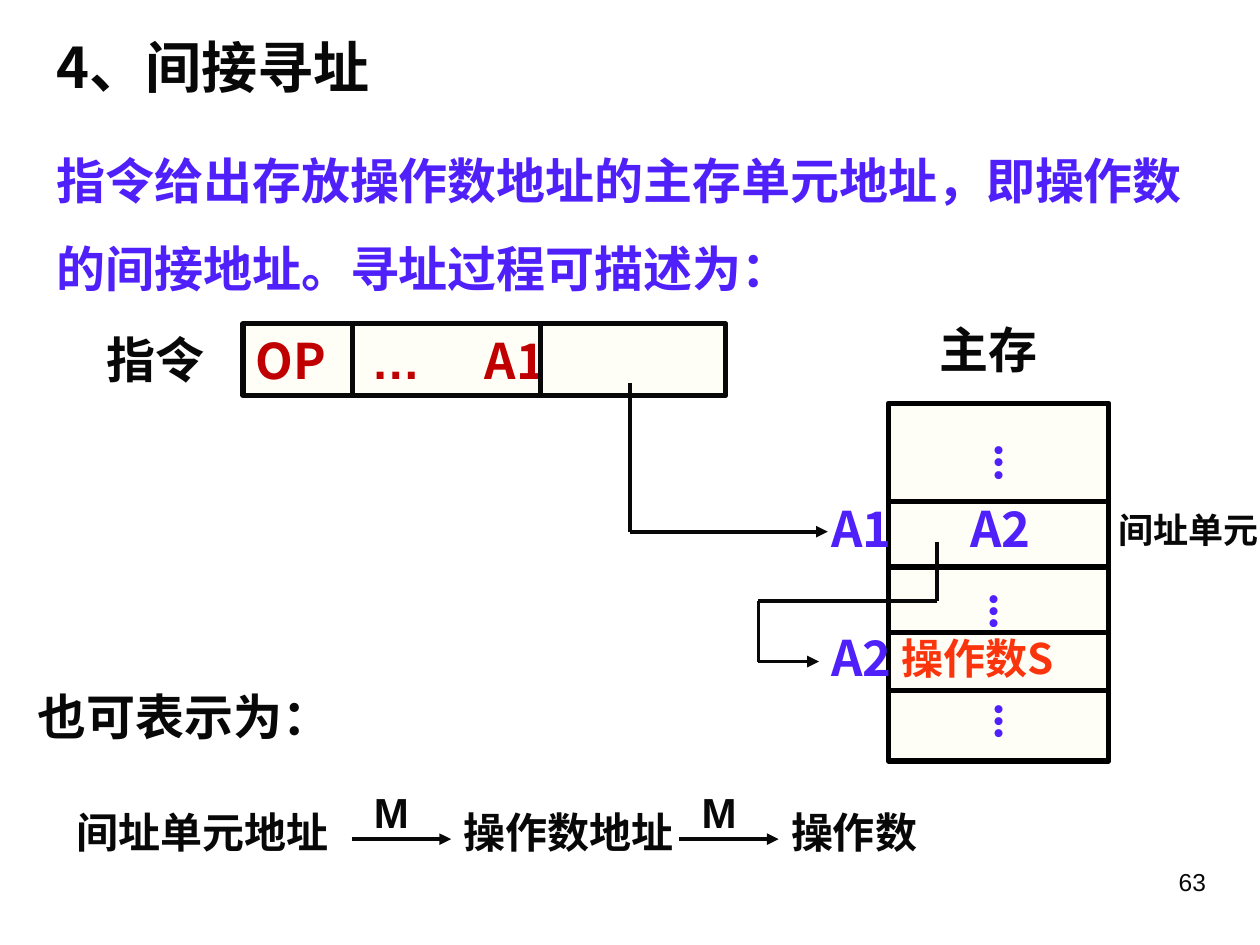
from dataclasses import dataclass
from itertools import accumulate, pairwise

from lxml.etree import SubElement
from pptx import Presentation
from pptx.dml.color import RGBColor
from pptx.enum.shapes import MSO_CONNECTOR, MSO_SHAPE
from pptx.enum.text import PP_ALIGN
from pptx.oxml.ns import qn
from pptx.util import Inches, Pt


@dataclass(frozen=True)
class Theme:
    ink: str = "080808"
    border: str = "000000"
    accent: str = "4F20FA"
    operand: str = "FA350E"
    code: str = "C00000"
    cell: str = "FEFEF6"
    paper: str = "FFFFFF"
    title: int = 32
    body: int = 28
    step: int = 24
    note: int = 20
    page: int = 14
    thick: float = 3
    thin: float = 2.25
    cjk: str = "Noto Sans CJK SC"
    serif: str = "Times New Roman"
    sans: str = "Arial"


THEME = Theme()


def add_run(paragraph, words, size, color, font, bold=True):
    run = paragraph.add_run()
    run.text = words
    run.font.size = Pt(size)
    run.font.bold = bold
    run.font.name = font
    run.font.color.rgb = RGBColor.from_string(color)
    SubElement(run.font._element, qn("a:ea")).set("typeface", THEME.cjk)


def add_label(slide, box, words, size=THEME.body, color=THEME.ink,
              font=THEME.cjk, bold=True):
    label = slide.shapes.add_textbox(*map(Inches, box))
    label.text_frame.word_wrap = True
    add_run(label.text_frame.paragraphs[0], words, size, color, font, bold)
    return label


def add_panel(slide, box, fill, line=None):
    panel = slide.shapes.add_shape(MSO_SHAPE.RECTANGLE, *map(Inches, box))
    panel.shadow.inherit = False
    panel.fill.solid()
    panel.fill.fore_color.rgb = RGBColor.from_string(fill)
    if line:
        panel.line.color.rgb = RGBColor.from_string(line)
        panel.line.width = Pt(THEME.thick)
    else:
        panel.line.fill.background()
    return panel


def add_path(slide, points, color=THEME.ink, width=THEME.thin, arrow=False):
    """Straight segments through the points, with an optional final arrowhead."""
    for start, end in pairwise(points):
        segment = slide.shapes.add_connector(
            MSO_CONNECTOR.STRAIGHT, *map(Inches, (*start, *end)))
        segment.line.color.rgb = RGBColor.from_string(color)
        segment.line.width = Pt(width)
        SubElement(segment._element.spPr, qn("a:effectLst"))
    if arrow:
        SubElement(segment.line._get_or_add_ln(), qn("a:tailEnd")).set("type", "triangle")


def add_heading(slide, box):
    left, top, width, _ = box
    add_label(slide, (left, top, 3.83, 0.64), "4、间接寻址", THEME.title)
    # Definition
    definition = add_panel(slide, (left, top + 0.7, width, 1.5), THEME.paper)
    definition.text_frame.word_wrap = True
    paragraph = definition.text_frame.paragraphs[0]
    paragraph.alignment = PP_ALIGN.LEFT
    paragraph.line_spacing = 1.5
    add_run(paragraph, "指令给出存放操作数地址的主存单元地址，即操作数的间接地址。寻址过程可描述为：",
            THEME.body, THEME.accent, THEME.serif)


def add_instruction(slide, box):
    left, top, width, height = box
    add_label(slide, (left - 1.18, top, 1.14, height), "指令", font=THEME.serif)
    fields = add_panel(slide, box, THEME.cell, THEME.ink)
    fields.text_frame.word_wrap = True
    paragraph = fields.text_frame.paragraphs[0]
    paragraph.alignment = PP_ALIGN.LEFT
    # Field contents sit on tab stops
    stops = SubElement(paragraph._p.get_or_add_pPr(), qn("a:tabLst"))
    for position in (0.92, 1.82):
        stop = SubElement(stops, qn("a:tab"))
        stop.set("pos", str(Inches(position)))
        stop.set("algn", "l")
    for words, font in (("OP\t", THEME.cjk), ("…", THEME.sans), ("\tA1", THEME.cjk)):
        add_run(paragraph, words, THEME.body, THEME.code, font)
    # Field dividers
    for offset in (0.87, 2.36):
        x = left + offset
        add_path(slide, [(x, top), (x, top + height)], width=THEME.thick)


def add_memory(slide, box, row_heights):
    left, top, width, _ = box
    add_label(slide, (left + 0.31, top - 0.71, 1.42, 0.57), "主存", font=THEME.sans)
    add_panel(slide, box, THEME.cell, THEME.border)
    rows = [top + drop for drop in accumulate(row_heights[:-1], initial=0)]
    for y in rows[1:]:
        add_path(slide, [(left, y), (left + width, y)], THEME.border, THEME.thick)
    # Cell addresses and contents
    pointer_top, operand_top = rows[1] - 0.07, rows[3] - 0.09
    for words, x, y in (("A1", -0.55, pointer_top), ("A2", 0.55, pointer_top),
                        ("A2", -0.55, operand_top)):
        add_label(slide, (left + x, y, 0.75, 0.57), words, color=THEME.accent)
    add_label(slide, (left + 0.01, operand_top + 0.04, width, 0.57),
              "操作数S", THEME.step, THEME.operand)
    add_label(slide, (left + width - 0.02, rows[1] + 0.01, 1.42, 0.44),
              "间址单元", THEME.note, font=THEME.serif)
    # Omitted cells
    for row, x, drop in ((0, 0.63, 0.23), (2, 0.59, 0.11), (4, 0.63, 0)):
        dots = add_label(slide, (left + x, rows[row] + drop, 0.66, 0.58), "...",
                         color=THEME.accent, font=THEME.serif)
        body = dots.text_frame._txBody.bodyPr
        body.set("vert", "eaVert")
        frame = dots.text_frame
        frame.margin_left = frame.margin_right = Inches(0.05)
        frame.margin_top = frame.margin_bottom = Inches(0.1)


def add_lookups(slide, box):
    left, top, width, height = box
    right, bottom = left + width, top + height
    # Instruction to indirect cell
    add_path(slide, [(left, top), (left, 4.22), (6.57, 4.22)], arrow=True)
    # Indirect cell to operand
    add_path(slide, [(right, 4.3), (right, 4.77), (6.02, 4.77),
                     (6.02, bottom), (6.5, bottom)], arrow=True)


def add_chain(slide, box):
    left, top, _, height = box
    add_label(slide, (left - 0.31, top - 0.95, 3.31, 0.57), "也可表示为：")
    steps = (("间址单元地址", 0, 2.28), ("操作数地址", 3.07, 1.89), ("操作数", 5.67, 1.5))
    for words, offset, width in steps:
        x = left + offset
        add_label(slide, (x, top, width, height), words, THEME.step, font=THEME.sans)
        if offset:
            # Memory access leading to this step
            y = top + 0.31
            add_path(slide, [(x - 0.79, y), (x, y)], arrow=True)
            add_label(slide, (x - 0.71, top - 0.16, 0.63, height), "M",
                      THEME.step, font=THEME.sans)


def add_page_number(slide, box):
    number = add_label(slide, box, "63", THEME.page, font=THEME.sans, bold=False)
    number.text_frame.paragraphs[0].alignment = PP_ALIGN.RIGHT


def main():
    deck = Presentation()
    deck.slide_width, deck.slide_height = Inches(10), Inches(7.5)
    slide = deck.slides.add_slide(deck.slide_layouts[6])
    add_page_number(slide, (7.17, 6.83, 2.5, 0.52))
    add_heading(slide, (0.35, 0.21, 9.37, 2.2))
    add_instruction(slide, (1.93, 2.57, 3.83, 0.57))
    add_memory(slide, (7.05, 3.2, 1.75, 2.84), (0.78, 0.52, 0.52, 0.46, 0.56))
    add_lookups(slide, (5, 3.04, 2.44, 2.21))
    add_chain(slide, (0.51, 6.35, 7.17, 0.5))
    deck.save("out.pptx")


if __name__ == "__main__":
    main()
